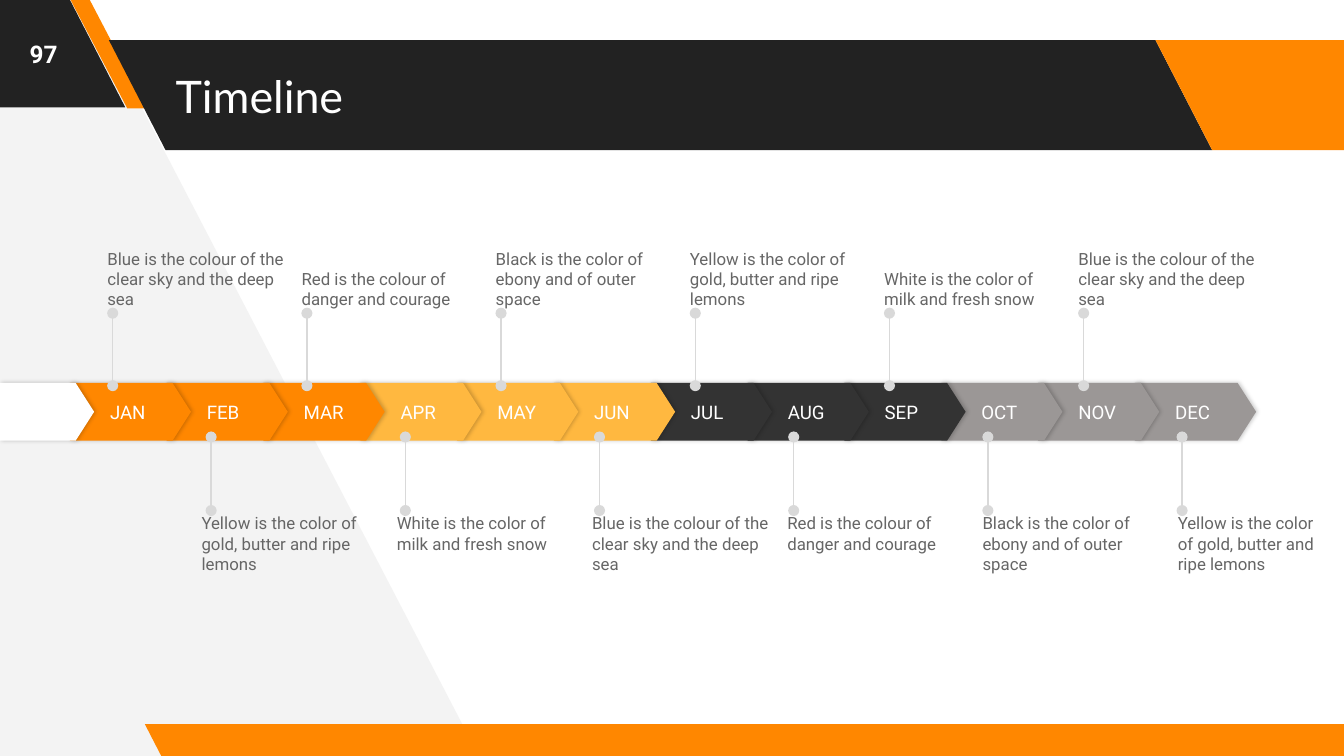
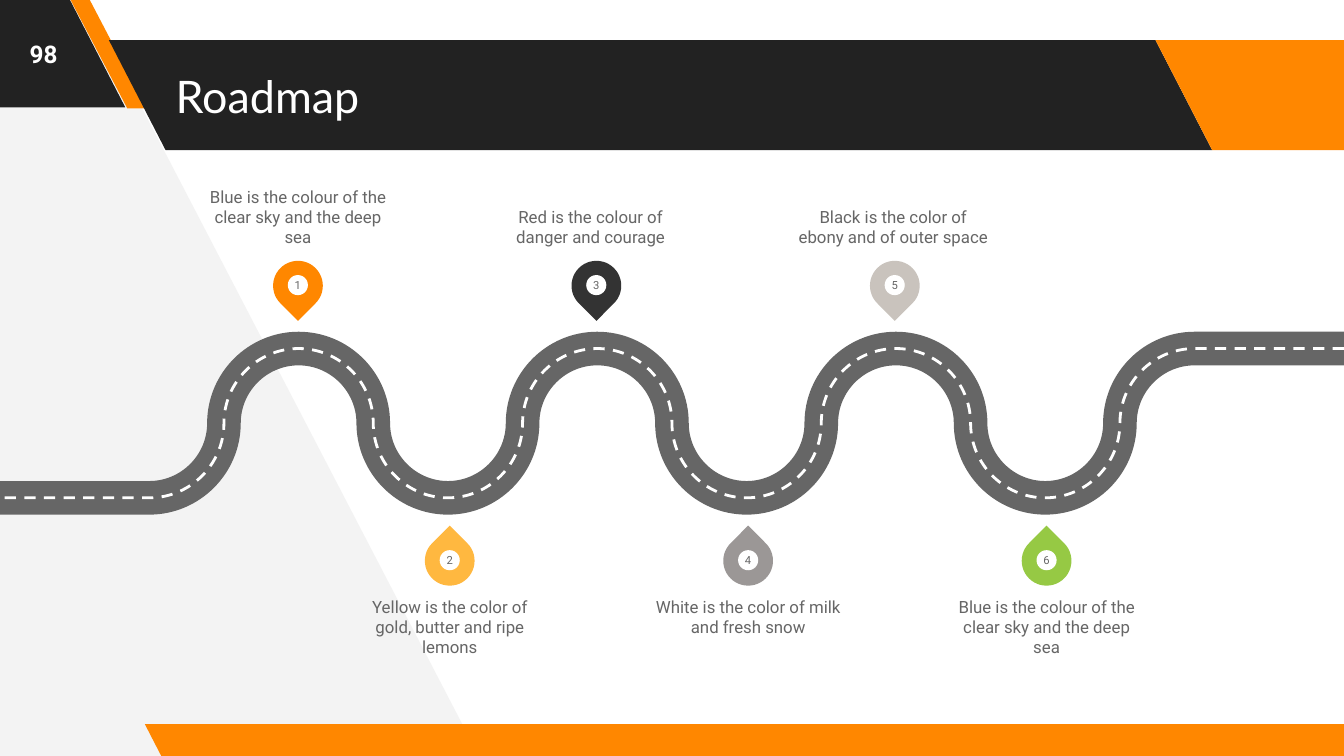
import pptx
import pptx.dml.color
import pptx.enum.dml
import pptx.enum.shapes
import pptx.enum.text
import pptx.oxml
import pptx.oxml.ns
import pptx.util

Cm = pptx.util.Cm
Pt = pptx.util.Pt
RGBColor = pptx.dml.color.RGBColor
SHAPE = pptx.enum.shapes.MSO_SHAPE
ALIGN = pptx.enum.text.PP_ALIGN
ANCHOR = pptx.enum.text.MSO_ANCHOR
qn = pptx.oxml.ns.qn

WHITE = RGBColor(0xFF, 0xFF, 0xFF)
PALE = RGBColor(0xF3, 0xF3, 0xF3)
BLACK = RGBColor(0x22, 0x22, 0x22)
ORANGE = RGBColor(0xFF, 0x87, 0x00)
AMBER = RGBColor(0xFF, 0xB8, 0x40)
CHARCOAL = RGBColor(0x33, 0x33, 0x33)
GREY = RGBColor(0x9B, 0x97, 0x96)
STONE = RGBColor(0xC9, 0xC3, 0xBD)
GREEN = RGBColor(0x96, 0xC9, 0x44)
TEXT = RGBColor(0x66, 0x66, 0x66)
PIN_LINE = RGBColor(0xD9, 0xD9, 0xD9)

TITLE_FONT = "Lato"
BODY_FONT = "Roboto"
WIDTH, HEIGHT = 25.4, 14.29
CURVE = 0.55  # control length of a quarter circle, as a share of its radius

SKY = "Blue is the colour of the clear sky and the deep sea"
DANGER = "Red is the colour of danger and courage"
EBONY = "Black is the color of ebony and of outer space"
GOLD = "Yellow is the color of gold, butter and ripe lemons"
SNOW = "White is the color of milk and fresh snow"

# left, top, width, height, slant, colour
BANDS = [
    (-2.51, -0.05, 4.88, 2.08, 0.515, BLACK),
    (1.32, -0.03, 1.45, 2.08, 0.75, ORANGE),
    (2.06, 0.76, 20.85, 2.08, 0.515, BLACK),
    (21.84, 0.76, 4.88, 2.08, 0.515, ORANGE),
    (2.74, 13.69, 23.24, 0.64, 0.515, ORANGE),
]
BACKDROP = [(9.04, 14.27), (1.57, -0.1), (-0.15, -0.1), (-0.05, 14.38)]

MONTHS = ["JAN", "FEB", "MAR", "APR", "MAY", "JUN",
          "JUL", "AUG", "SEP", "OCT", "NOV", "DEC"]
QUARTER_COLOURS = [ORANGE, AMBER, CHARCOAL, GREY]


def append_xml(parent, tag, **attributes):
    child = pptx.oxml.parse_xml(f"<a:{tag} {pptx.oxml.ns.nsdecls('a')}/>")
    for name, value in attributes.items():
        child.set(name, str(value))
    parent.append(child)
    return child


class Deck:
    def __init__(self):
        self.presentation = pptx.Presentation()
        self.presentation.slide_width = Cm(WIDTH)
        self.presentation.slide_height = Cm(HEIGHT)
        self.layout = self.presentation.slide_layouts[5]
        self.slide = None

    def new_slide(self, title, number):
        self.slide = self.presentation.slides.add_slide(self.layout)
        if number == 97:
            self.decorate_layout()
        shape = self.slide.shapes.title
        shape.left, shape.top = Cm(3.07), Cm(0.76)
        shape.width, shape.height = Cm(18.67), Cm(2.08)
        self.set_text(shape, title, 24, WHITE, font=TITLE_FONT, inset=0.25)
        self.text(str(number), 0, 0, 1.65, 2.03, size=13, colour=WHITE, bold=True,
                  align=ALIGN.CENTER, inset=0.25)

    def decorate_layout(self):
        """Draw the backdrop and bands, then hand them to the shared layout."""
        backdrop = self.outline(BACKDROP, close=True)
        self.paint(backdrop, PALE)
        shapes = [backdrop]
        for left, top, width, height, slant, colour in BANDS:
            band = self.shape(SHAPE.PARALLELOGRAM, left, top, width, height, colour)
            band.adjustments[0] = slant
            band.element.spPr.get_or_add_xfrm().set("flipH", "1")
            shapes.append(band)
        for shape in shapes:
            self.layout.shapes.element.append(shape.element)

    def paint(self, shape, colour):
        shape.shadow.inherit = False
        shape.fill.solid()
        shape.fill.fore_color.rgb = colour
        shape.line.fill.background()

    def set_text(self, shape, text, size, colour, font=BODY_FONT, bold=False,
                 align=ALIGN.LEFT, anchor=ANCHOR.MIDDLE, inset=0, inset_left=None):
        frame = shape.text_frame
        frame.word_wrap = True
        frame.auto_size = pptx.enum.text.MSO_AUTO_SIZE.NONE
        frame.vertical_anchor = anchor
        frame.margin_top = frame.margin_right = frame.margin_bottom = Cm(inset)
        frame.margin_left = Cm(inset if inset_left is None else inset_left)
        paragraph = frame.paragraphs[0]
        paragraph.alignment = align
        run = paragraph.add_run()
        run.text = text
        run.font.name = font
        run.font.size = Pt(size)
        run.font.bold = bold
        run.font.color.rgb = colour

    def text(self, text, left, top, width, height, size=9, colour=TEXT, **style):
        box = self.slide.shapes.add_textbox(Cm(left), Cm(top), Cm(width), Cm(height))
        self.set_text(box, text, size, colour, **style)

    def caption(self, text, left, top, width, above, align=ALIGN.LEFT):
        """Add a note that sits on its lower edge above the line, else hangs."""
        anchor = ANCHOR.BOTTOM if above else ANCHOR.TOP
        self.text(text, left, top, width, 1.47, align=align, anchor=anchor)

    def shape(self, kind, left, top, width, height, colour):
        shape = self.slide.shapes.add_shape(
            kind, Cm(left), Cm(top), Cm(width), Cm(height))
        self.paint(shape, colour)
        return shape

    def outline(self, points, close=False):
        corners = [(Cm(x), Cm(y)) for x, y in points]
        builder = self.slide.shapes.build_freeform(*corners[0])
        builder.add_line_segments(corners[1:], close=close)
        return builder.convert_to_shape()

    def arrow(self, left, width, colour, label=None):
        arrow = self.shape(SHAPE.PENTAGON, left, 7.24, width, 1.09, colour)
        arrow.adjustments[0] = 0.32
        effects = arrow.element.spPr.find(qn("a:effectLst"))
        shadow = append_xml(effects, "outerShdw", blurRad=Pt(2.2), dist=Pt(0.8),
                            dir=0, algn="bl", rotWithShape=0)
        shade = append_xml(shadow, "srgbClr", val="000000")
        append_xml(shade, "alpha", val=20000)
        if label:
            self.set_text(arrow, label, 10, WHITE, inset_left=0.76)

    def pin_line(self, x, start, end):
        connector = self.slide.shapes.add_connector(
            pptx.enum.shapes.MSO_CONNECTOR.STRAIGHT, Cm(x), Cm(start), Cm(x), Cm(end))
        connector.line.color.rgb = PIN_LINE
        connector.line.width = Pt(0.75)
        properties = connector.element.spPr
        for tag in ("headEnd", "tailEnd"):
            append_xml(properties.find(qn("a:ln")), tag, type="oval")
        append_xml(properties, "effectLst")

    def road(self, points, colour, width, dash=None):
        """Draw a line whose inner segments are quarter circles."""
        road = self.outline(points)
        road.shadow.inherit = False
        road.fill.background()
        road.line.color.rgb = colour
        road.line.width = Pt(width)
        if dash:
            road.line.dash_style = dash
        route = road.element.find(".//" + qn("a:path"))
        corners = [(int(point.get("x")), int(point.get("y")))
                   for point in route.iter(qn("a:pt"))]
        segments = route.findall(qn("a:lnTo"))
        for index in range(1, len(segments) - 1):
            (x0, y0), (x1, y1) = corners[index:index + 2]
            dx, dy = CURVE * (x1 - x0), CURVE * (y1 - y0)
            if index % 2:  # leaves level, arrives upright
                controls = [(x0 + dx, y0), (x1, y1 - dy)]
            else:
                controls = [(x0, y0 + dy), (x1 - dx, y1)]
            bend = append_xml(route, "cubicBezTo")
            for x, y in controls + [(x1, y1)]:
                append_xml(bend, "pt", x=round(x), y=round(y))
            route.replace(segments[index], bend)

    def marker(self, number, left, top, rotation, colour):
        drop = self.shape(SHAPE.TEAR, left, top, 0.94, 0.94, colour)
        drop.rotation = rotation
        dot = self.shape(SHAPE.OVAL, left + 0.28, top + 0.27, 0.38, 0.38, WHITE)
        self.set_text(dot, str(number), 6, TEXT, align=ALIGN.CENTER)
        self.slide.shapes.add_group_shape([drop, dot])


def build_timeline(deck):
    deck.new_slide("Timeline", 97)
    for index in reversed(range(len(MONTHS))):
        deck.arrow(1.32 + 1.83 * index, 2.29, QUARTER_COLOURS[index // 3], MONTHS[index])
    deck.arrow(0, 1.78, WHITE)
    for index, text in enumerate([SKY, DANGER, EBONY, GOLD, SNOW, SKY]):
        deck.pin_line(2.13 + 3.67 * index, 7.29, 5.92)
        deck.caption(text, 2.03 + 3.67 * index, 4.37, 3.48, above=True)
    for index, text in enumerate([GOLD, SNOW, SKY, DANGER, EBONY, GOLD]):
        deck.pin_line(3.99 + 3.67 * index, 9.65, 8.26)
        width = 2.87 if index == 5 else 3.48
        deck.caption(text, 3.81 + 3.69 * index, 9.7, width, above=False)


def build_roadmap(deck):
    deck.new_slide("Roadmap", 98)
    radius = WIDTH / 18
    levels = [8 - radius, 8, 8 + radius, 8]
    bends = [(radius * (16 - index), levels[index % 4]) for index in range(15)]
    points = [(WIDTH, levels[0])] + bends + [(0, levels[2])]
    deck.road(points, TEXT, 18)
    deck.road(points, WHITE, 1.5, pptx.enum.dml.MSO_LINE.DASH)

    for index, colour in enumerate([ORANGE, CHARCOAL, STONE]):
        deck.marker(2 * index + 1, 5.16 + 5.64 * index, 4.93, 135, colour)
    for index, colour in enumerate([AMBER, GREY, GREEN]):
        deck.marker(2 * index + 2, 8.03 + 5.64 * index, 10.13, 315, colour)
    for left, text in [(3.84, SKY), (9.37, DANGER), (15.09, EBONY)]:
        deck.caption(text, left, 3.2, 3.58, above=True, align=ALIGN.CENTER)
    for index, text in enumerate([GOLD, SNOW, SKY]):
        deck.caption(text, 6.71 + 5.64 * index, 11.28, 3.58, above=False,
                     align=ALIGN.CENTER)


def main():
    deck = Deck()
    build_timeline(deck)
    build_roadmap(deck)
    deck.presentation.save("out.pptx")


if __name__ == "__main__":
    main()
